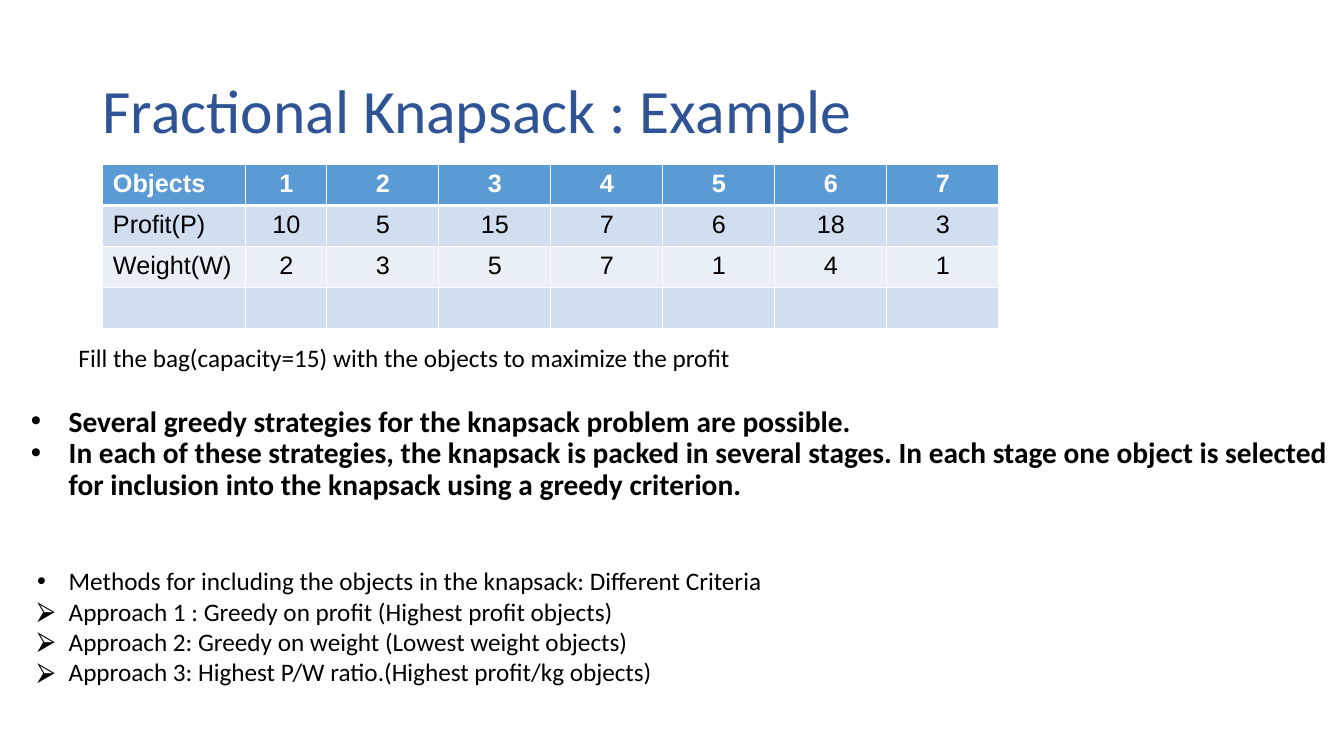
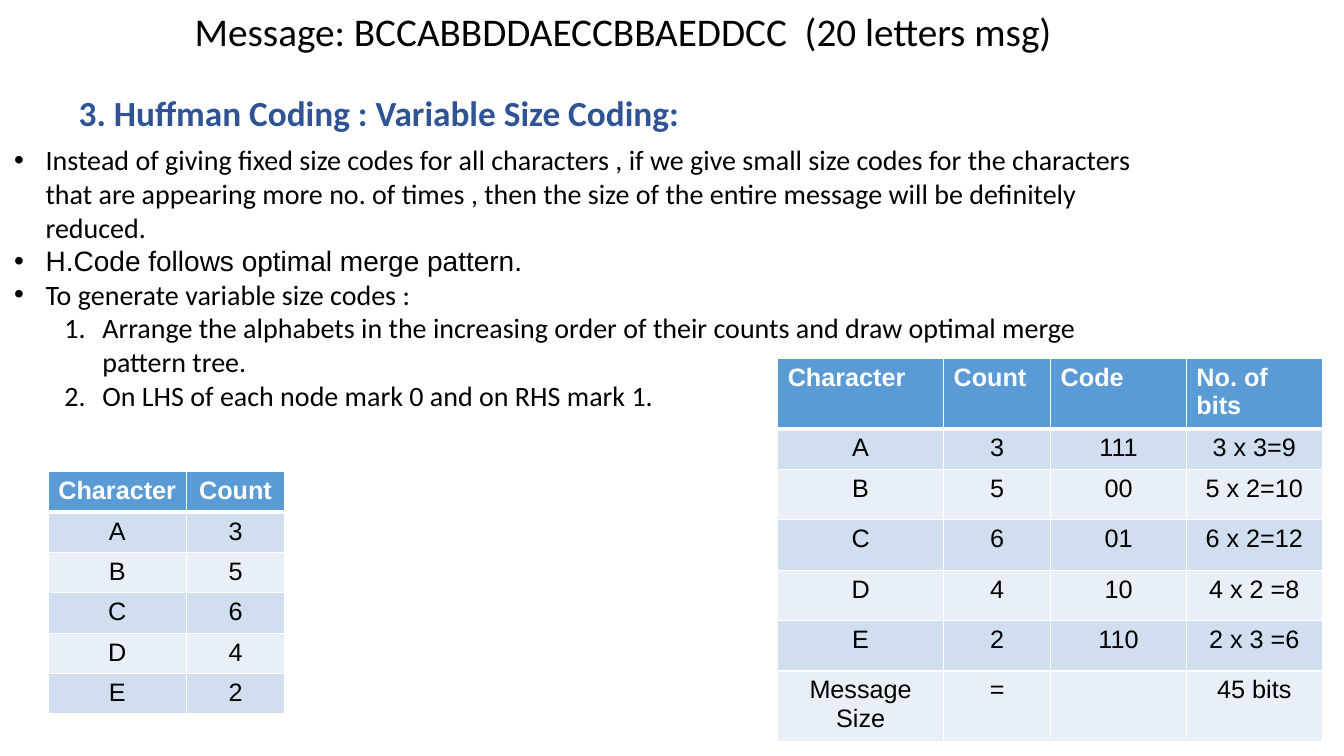
from lxml import etree
from pptx import Presentation
from pptx import util as u
from pptx.dml.color import RGBColor
from pptx.enum import text as t
from pptx.oxml import ns

Pt = u.Pt
COLORS = {
    "title": "2F5496", "ink": "000000", "white": "FFFFFF",
    "header": "5B9BD5", "odd": "D0DEEF", "even": "E9EFF7",
}
LEFT, CENTER = t.PP_ALIGN.LEFT, t.PP_ALIGN.CENTER
MIDDLE, TOP = t.MSO_ANCHOR.MIDDLE, t.MSO_ANCHOR.TOP

KNAPSACK_TITLE = "Fractional Knapsack : Example"
OBJECTS = [
    ["Objects", "1", "2", "3", "4", "5", "6", "7"],
    ["Profit(P)", "10", "5", "15", "7", "6", "18", "3"],
    ["Weight(W)", "2", "3", "5", "7", "1", "4", "1"],
    [""] * 8,
]
TASK = "Fill the bag(capacity=15) with the objects to maximize the profit"
STRATEGIES = [
    "Several greedy strategies for the knapsack problem are possible.",
    "In each of these strategies, the knapsack is packed in several stages. "
    "In each stage one object is selected for inclusion into the knapsack "
    "using a greedy criterion.",
]
METHODS = "Methods for including the objects in the knapsack: Different Criteria"
APPROACHES = [
    "Approach 1 : Greedy on profit (Highest profit objects)",
    "Approach 2: Greedy on weight (Lowest weight objects)",
    "Approach 3: Highest P/W ratio.(Highest profit/kg objects)",
]

HUFFMAN_TITLE = "3. Huffman Coding : Variable Size Coding:"
MESSAGE = "Message: BCCABBDDAECCBBAEDDCC  (20 letters msg)"
VARIABLE_SIZE = (
    "Instead of giving fixed size codes for all characters , if we give small "
    "size codes for the characters that are appearing more no. of times , then "
    "the size of the entire message will be definitely reduced."
)
MERGE_PATTERN = "H.Code follows optimal merge pattern."
GENERATE = "To generate variable size codes :"
STEPS = [
    "Arrange the alphabets in the increasing order of their counts and draw "
    "optimal merge pattern tree.",
    "On LHS of each node mark 0 and on RHS mark 1.",
]
CODES = [
    ["Character", "Count", "Code", "No. of bits"],
    ["A", "3", "111", "3 x 3=9"],
    ["B", "5", "00", "5 x 2=10"],
    ["C", "6", "01", "6 x 2=12"],
    ["D", "4", "10", "4 x 2 =8"],
    ["E", "2", "110", "2 x 3 =6"],
    ["Message Size", "=", "", "45 bits"],
]
COUNTS = [row[:2] for row in CODES[:6]]


def write(paragraph, content, size=18, font="Calibri", color="ink", bold=False,
          align=LEFT, spacing=1.0, bullet=None, numbered=False, indent=0, hang=0, level=0):
    paragraph.level = level
    props = paragraph._p.get_or_add_pPr()
    if bullet or numbered:
        props.set("marL", str(Pt(indent)))
        props.set("indent", str(-Pt(hang)))
    if bullet:
        etree.SubElement(props, ns.qn("a:buFont")).set("typeface", "Arial")
        etree.SubElement(props, ns.qn("a:buChar")).set("char", bullet)
    elif numbered:
        etree.SubElement(props, ns.qn("a:buAutoNum")).set("type", "arabicPeriod")
    paragraph.alignment = align
    paragraph.line_spacing = spacing
    run = paragraph.add_run()
    run.text = content
    run.font.size = Pt(size)
    run.font.name = font
    run.font.bold = bold
    run.font.color.rgb = RGBColor.from_string(COLORS[color])


def add_titled_slide(deck, title, box, size, bold=False):
    slide = deck.slides.add_slide(deck.slide_layouts[5])
    heading = slide.shapes.title
    heading.left, heading.top, heading.width, heading.height = map(Pt, box)
    heading.text_frame.auto_size = t.MSO_AUTO_SIZE.NONE
    heading.text_frame.vertical_anchor = MIDDLE
    write(heading.text_frame.paragraphs[0], title, size=size, color="title",
          bold=bold, spacing=0.9)
    return slide


def add_text(slide, box, lines, anchor=TOP, bottom=3.6):
    frame = slide.shapes.add_textbox(*map(Pt, box)).text_frame
    frame.word_wrap = True
    frame.vertical_anchor = anchor
    frame.margin_bottom = Pt(bottom)
    for i, (content, style) in enumerate(lines):
        paragraph = frame.add_paragraph() if i else frame.paragraphs[0]
        write(paragraph, content, **style)


def add_border(props, side, width):
    line = etree.SubElement(props, ns.qn("a:ln" + side), w=str(Pt(width)))
    fill = etree.SubElement(line, ns.qn("a:solidFill"))
    etree.SubElement(fill, ns.qn("a:srgbClr"), val=COLORS["white"])


def add_grid(slide, left, top, widths, heights, rows, is_left):
    grid = slide.shapes.add_table(len(rows), len(widths), Pt(left), Pt(top),
                                  Pt(sum(widths)), Pt(sum(heights))).table
    for column, width in zip(grid.columns, widths):
        column.width = Pt(width)
    for r, (row, height) in enumerate(zip(rows, heights)):
        grid.rows[r].height = Pt(height)
        shade = "header" if r == 0 else "odd" if r % 2 else "even"
        for c, content in enumerate(row):
            cell = grid.cell(r, c)
            props = cell._tc.get_or_add_tcPr()
            thick = {"T": r == 1, "B": r == 0}
            for side in "LRTB":
                add_border(props, side, 3 if thick.get(side) else 1)
            cell.fill.solid()
            cell.fill.fore_color.rgb = RGBColor.from_string(COLORS[shade])
            if content:
                write(cell.text_frame.paragraphs[0], content, font="Arial",
                      color="ink" if r else "white", bold=r == 0,
                      align=LEFT if is_left(r, c) else CENTER)


def build_knapsack(deck):
    slide = add_titled_slide(deck, KNAPSACK_TITLE, (66, 29, 828, 104), 44)
    add_grid(slide, 73.5, 117.5, [102, 58] + [80] * 6, [29.25] * 4, OBJECTS,
             lambda r, c: c == 0)
    add_text(slide, (49, 241, 664, 29), [(TASK, {})])
    strong = dict(size=21, bold=True, spacing=0.9, bullet="•", indent=27, hang=27)
    add_text(slide, (15, 281, 945, 101.5), [(line, strong) for line in STRATEGIES],
             anchor=MIDDLE, bottom=18)
    listed = dict(indent=22.5, hang=22.5)
    add_text(slide, (19.5, 400.5, 856, 117),
             [(METHODS, dict(listed, bullet="•"))]
             + [(line, dict(listed, bullet="⮚")) for line in APPROACHES])


def build_huffman(deck):
    slide = add_titled_slide(deck, HUFFMAN_TITLE, (49, 66.5, 828, 32), 25.2, bold=True)
    add_text(slide, (132, 5.5, 777, 50), [(MESSAGE, dict(size=28, spacing=0.9))])
    point = dict(size=20, bullet="•", indent=22.5, hang=22.5)
    step = dict(size=20, numbered=True, indent=63, hang=27, level=1)
    add_text(slide, (3, 98.5, 828, 225),
             [(VARIABLE_SIZE, point), (MERGE_PATTERN, dict(point, font="Arial")),
              (GENERATE, point)] + [(line, step) for line in STEPS])
    add_grid(slide, 34.5, 337, [98.5, 70.5], [28.8] * 6, COUNTS, lambda r, c: False)
    add_grid(slide, 555.5, 256, [118.5, 76.5, 97, 97],
             [50, 28.8] + [36] * 4 + [50], CODES, lambda r, c: r == 0)


def main():
    deck = Presentation()
    deck.slide_width, deck.slide_height = Pt(960), Pt(540)
    build_knapsack(deck)
    build_huffman(deck)
    deck.save("out.pptx")


if __name__ == "__main__":
    main()
